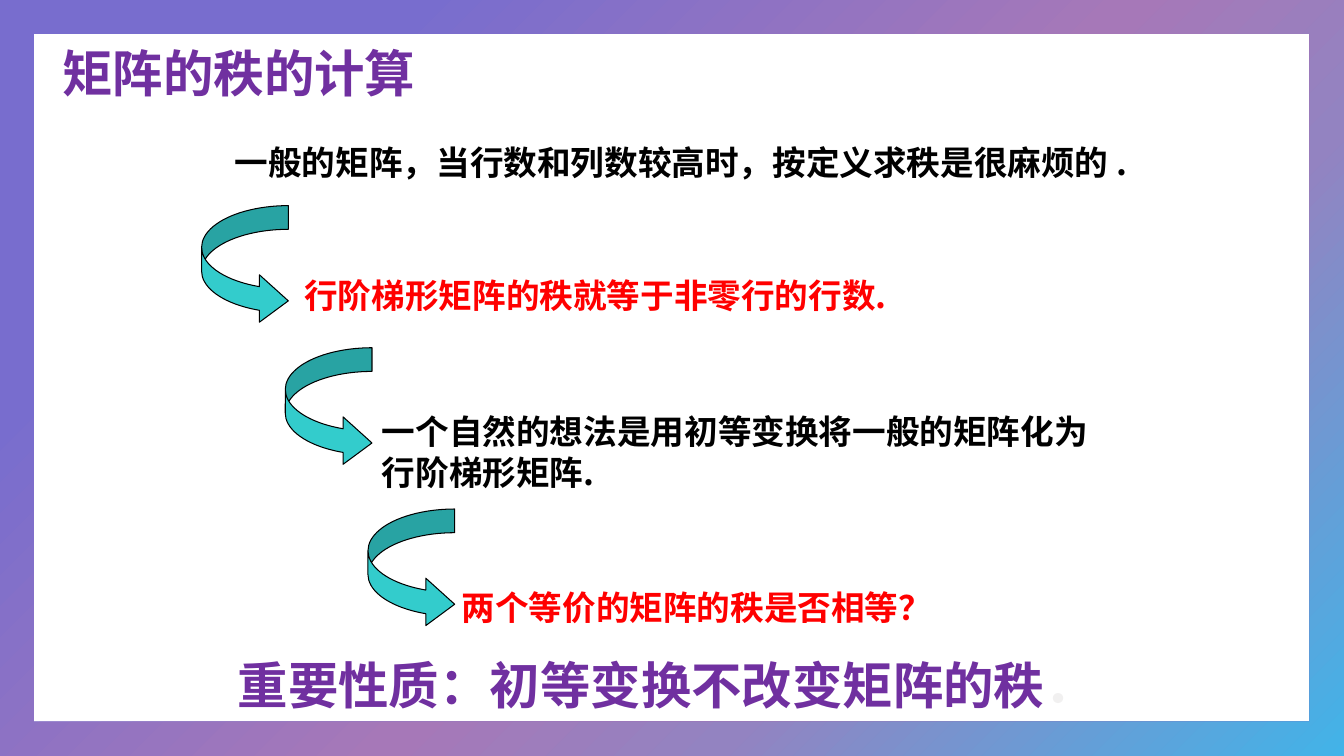
from lxml import etree
from pptx import Presentation
from pptx.dml.color import RGBColor
from pptx.enum.shapes import MSO_SHAPE as Shape
from pptx.enum.text import MSO_ANCHOR as Anchor
from pptx.oxml.ns import qn
from pptx.util import Inches, Pt

SANS, SERIF = "Noto Sans CJK SC", "Times New Roman"
BLACK, RED, PURPLE, PALE, TEAL = "000000", "FF0000", "7030A0", "F1F0F0", "33CCCC"
BORDER_STOPS = [(20, "786DCE"), (54, "A678B8"), (70, "9383C1"), (100, "42B3E8")]


def color(hex_value):
    return RGBColor.from_string(hex_value)


def add_span(para, text, size, font, hex_value):
    span = para.add_run()
    span.text = text
    span.font.size = Pt(size)
    span.font.bold = True
    span.font.name = font
    span.font.color.rgb = color(hex_value)
    east_asian = etree.SubElement(span._r.get_or_add_rPr(), qn("a:ea"))
    east_asian.set("typeface", SANS)


def add_text(page, left, top, width, height, text, size=24, font=SANS,
             hex_value=BLACK, end="", end_color=None, wrap=True,
             anchor=Anchor.TOP, hanging=0):
    """Add a one-paragraph box; end is a closing mark set in the sans font."""
    box = page.shapes.add_textbox(Inches(left), Inches(top), Inches(width), Inches(height))
    frame = box.text_frame
    frame.word_wrap = wrap
    frame.vertical_anchor = anchor
    para = frame.paragraphs[0]
    if hanging:
        properties = para._p.get_or_add_pPr()
        properties.set("marL", str(Inches(hanging)))
        properties.set("indent", str(-Inches(hanging)))
    add_span(para, text, size, font, hex_value)
    if end:
        add_span(para, end, size, SANS, end_color or hex_value)


def add_curved_arrow(page, left, top):
    arrow = page.shapes.add_shape(Shape.CURVED_RIGHT_ARROW, Inches(left), Inches(top),
                                  Inches(0.86), Inches(1.18))
    for index, value in enumerate((0.273, 0.547, 0.333)):
        arrow.adjustments[index] = value
    arrow.shadow.inherit = False
    arrow.fill.solid()
    arrow.fill.fore_color.rgb = color(TEAL)
    arrow.line.color.rgb = color(BLACK)
    arrow.line.width = Pt(0.75)


def add_border(page, width, height):
    border = page.shapes.add_shape(Shape.FRAME, 0, 0, width, height)
    border.adjustments[0] = 0.045
    border.shadow.inherit = False
    border.line.fill.background()
    border.fill.gradient()
    border.fill.gradient_angle = 315
    stops = border._element.spPr.find(".//" + qn("a:gsLst"))
    for stop in list(stops):
        stops.remove(stop)
    for percent, hex_value in BORDER_STOPS:
        stop = etree.SubElement(stops, qn("a:gs"), pos=str(percent * 1000))
        etree.SubElement(stop, qn("a:srgbClr"), val=hex_value)


def main():
    deck = Presentation()
    deck.slide_width, deck.slide_height = Inches(13.33), Inches(7.5)
    page = deck.slides.add_slide(deck.slide_layouts[6])

    add_text(page, 0.52, 0.37, 10.65, 1.5, "矩阵的秩的计算", size=36, hex_value=PURPLE)
    add_text(page, 2.23, 1.36, 9.18, 0.5, "一般的矩阵，当行数和列数较高时，按定义求秩是很麻烦的 ",
             font=SERIF, end=".", wrap=False)
    add_text(page, 2.92, 2.68, 8.11, 0.5, "行阶梯形矩阵的秩就等于非零行的行数.",
             hex_value=RED, anchor=Anchor.MIDDLE)
    add_text(page, 3.69, 4.03, 7.34, 0.91, "一个自然的想法是用初等变换将一般的矩阵化为行阶梯形矩阵",
             font=SERIF, end=".")
    add_text(page, 4.48, 5.77, 6.55, 0.5, "两个等价的矩阵的秩是否相等？", font=SERIF, hex_value=RED)
    add_text(page, 2.26, 6.44, 8.9, 0.5, "重要性质：初等变换不改变矩阵的秩", size=36,
             hex_value=PURPLE, end="．", end_color=PALE, hanging=0.38)

    for left, top in ((2, 2.04), (2.83, 3.45), (3.65, 5.05)):
        add_curved_arrow(page, left, top)
    add_border(page, deck.slide_width, deck.slide_height)
    deck.save("out.pptx")


if __name__ == "__main__":
    main()
